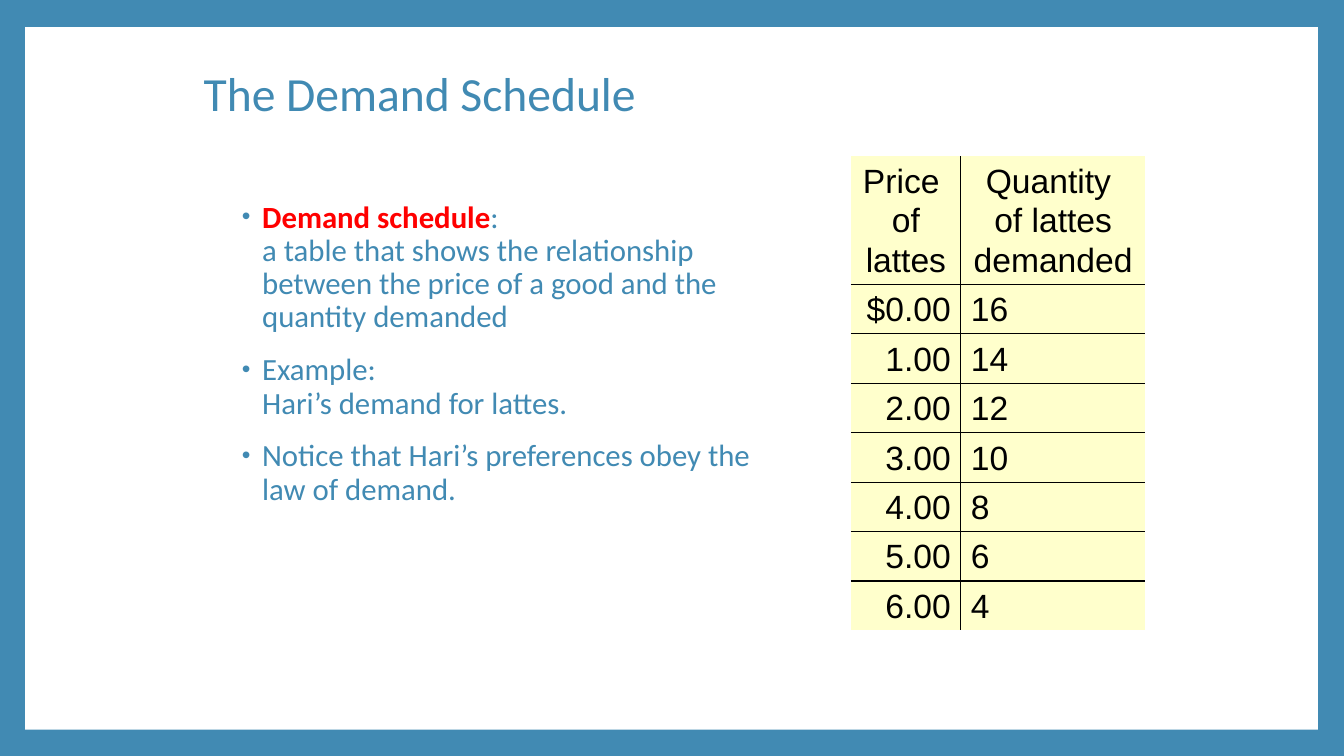
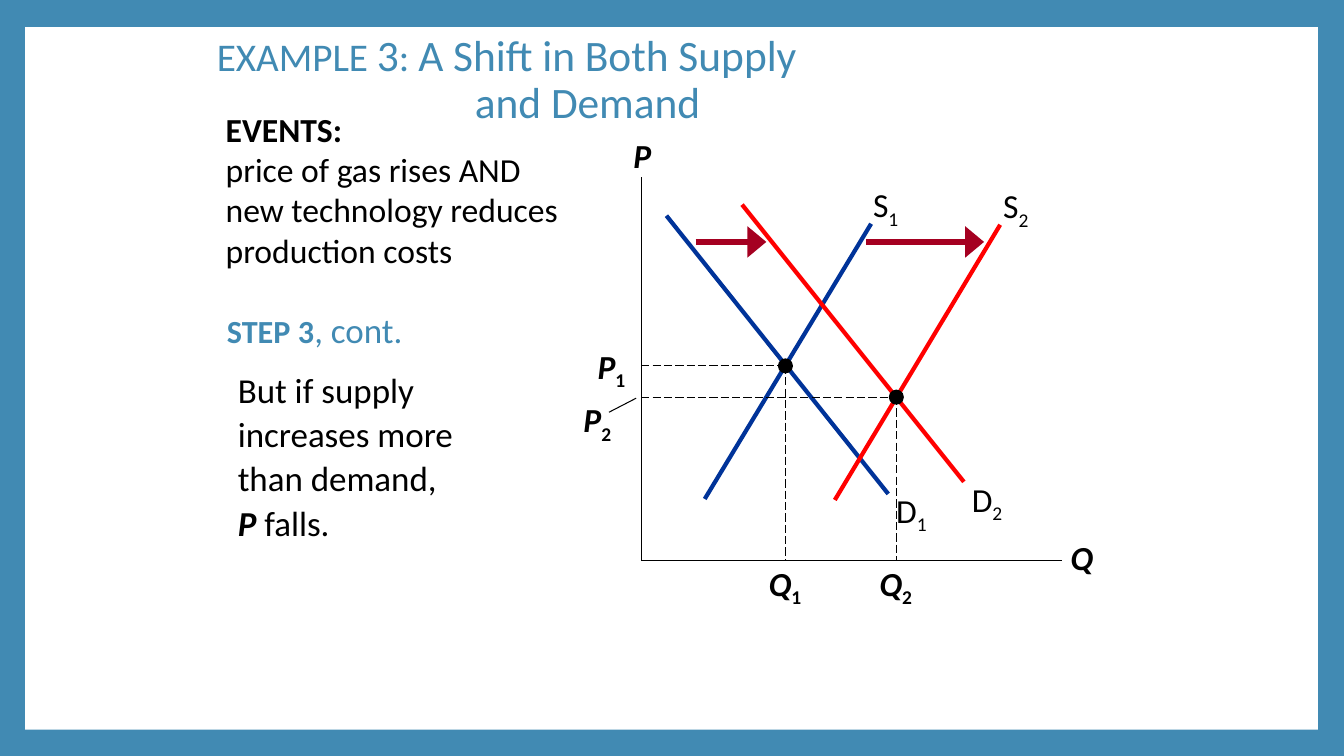
import pptx
import pptx.util
import pptx.dml.color
import pptx.enum.dml
import pptx.enum.shapes
import pptx.enum.text
import pptx.oxml
import pptx.oxml.ns

Inches = pptx.util.Inches
Pt = pptx.util.Pt
ALIGN = pptx.enum.text.PP_ALIGN

BLUE, BLACK, RED, NAVY = "418AB3", "000000", "FF0000", "003399"
WHITE, CREAM, WINE = "FFFFFF", "FFFFCC", "A50021"
BOLD = {"bold": True}
SUB = {"italic": False, "base": -25000}

TITLE = [("The Demand Schedule", {})]
POINTS = [
    [("Demand schedule", {"bold": True, "color": RED}),
     (":\na table that shows the relationship between the price of a good "
      "and the quantity demanded", {})],
    [("Example:\nHari’s demand for lattes.", {})],
    [("Notice that Hari’s preferences obey the law of demand.", {})],
]
ROWS = [
    ("Price \nof lattes", "Quantity \nof lattes demanded"),
    ("$0.00", "16"), ("1.00", "14"), ("2.00", "12"), ("3.00", "10"),
    ("4.00", "8"), ("5.00", "6"), ("6.00", "4"),
]
COLS = [1.09, 1.83]
HEAD, ROW = 1.27, 0.49

SHIFT = [
    ("EXAMPLE ", {"size": 28}), ("3", {}), (": ", {"size": 28}),
    ("A Shift in Both Supply \nand Demand", {}),
]
STEP = [("STEP 3", {"size": 23, "bold": True}), (", cont.", {})]
EVENTS = [
    ("EVENTS:\n", BOLD),
    ("price of gas rises AND \nnew technology reduces production costs", {}),
]
RESULT = [
    ("But if supply increases more than demand, \n", {}),
    ("P", {"bold": True, "italic": True}), (" falls.", {}),
]

LEFT, BASE = 6.36, 5.56
AXES = [
    ("P", (LEFT, 1.76), (LEFT, BASE), (6.14, 1.29, 0.46, 0.5)),
    ("Q", (LEFT, BASE), (10.53, BASE), (10.48, 5.28, 0.5, 0.5)),
]
CURVES = [
    ("D", "1", NAVY, (6.61, 2.14), (8.81, 4.9), (8.74, 4.81, 0.6, 0.5)),
    ("S", "1", NAVY, (6.99, 4.95), (8.64, 2.22), (8.47, 1.78, 0.63, 0.5)),
    ("S", "2", RED, (8.28, 4.96), (9.92, 2.23), (9.76, 1.79, 0.63, 0.5)),
    ("D", "2", RED, (7.36, 2.03), (9.56, 4.78), (9.49, 4.7, 0.6, 0.5)),
]
ARROWS = [((8.59, 2.4), (9.76, 2.4)), ((6.9, 2.4), (7.6, 2.4))]
MEETS = [("1", 7.79, 3.63, (5.8, 3.43)), ("2", 8.89, 3.94, (5.66, 3.96))]
DOT = 0.15


def rgb(code):
    return pptx.dml.color.RGBColor.from_string(code)


def add_xml(parent, tag, **attrs):
    node = pptx.oxml.parse_xml(f"<a:{tag} {pptx.oxml.ns.nsdecls('a')}/>")
    for key, value in attrs.items():
        node.set(key, str(value))
    parent.append(node)
    return node


def style(font, size=None, color=None, bold=None, italic=None, name=None):
    if size:
        font.size = Pt(size)
    if color:
        font.color.rgb = rgb(color)
    if bold is not None:
        font.bold = bold
    if italic is not None:
        font.italic = italic
    if name:
        font.name = name


def write(par, parts, size, color=BLACK, align=ALIGN.LEFT, lines=1.0,
          before=0, left=0, first=0, bullet=False, name="Calibri", **look):
    props = par._p.get_or_add_pPr()
    props.set("marL", str(Inches(left)))
    props.set("indent", str(Inches(first)))
    if bullet:
        add_xml(add_xml(props, "buClr"), "srgbClr", val=color)
        add_xml(props, "buSzPct", val=80000)
        add_xml(props, "buFont", typeface="Arial")
        add_xml(props, "buChar", char="•")
    else:
        add_xml(props, "buNone")
    par.alignment = align
    par.line_spacing = lines
    par.space_before = Pt(before)
    style(par.font, size, color, name=name, **look)
    for text, extra in parts:
        extra = dict(extra)
        base = extra.pop("base", None)
        for i, piece in enumerate(text.split("\n")):
            if i:
                par.add_line_break()
            if piece:
                run = par.add_run()
                run.text = piece
                style(run.font, **extra)
                if base:
                    run._r.get_or_add_rPr().set("baseline", str(base))


def place(shape, box):
    shape.left, shape.top, shape.width, shape.height = map(Inches, box)
    frame = shape.text_frame
    frame.word_wrap = True
    frame.auto_size = pptx.enum.text.MSO_AUTO_SIZE.NONE
    return frame


def add_slide(deck, box, parts, size, **look):
    slide = deck.slides.add_slide(deck.slide_layouts[1])
    frame = place(slide.shapes.title, box)
    frame.vertical_anchor = pptx.enum.text.MSO_ANCHOR.MIDDLE
    write(frame.paragraphs[0], parts, size, BLUE, lines=0.9, **look)
    return slide


def fill_body(slide, box, items, size, **look):
    frame = place(slide.placeholders[1], box)
    for i, parts in enumerate(items):
        par = frame.add_paragraph() if i else frame.paragraphs[0]
        write(par, parts, size, BLUE, lines=0.9, before=14, **look)


def add_text(slide, box, parts, size=24, inset=None, **look):
    frame = place(slide.shapes.add_textbox(0, 0, 0, 0), box)
    if inset is not None:
        frame.margin_left = frame.margin_right = Inches(inset)
        frame.margin_top = frame.margin_bottom = Inches(inset)
    write(frame.paragraphs[0], parts, size, **look)


def add_label(slide, box, letter, sub="", **look):
    parts = [(letter, {})] + ([(sub, SUB)] if sub else [])
    add_text(slide, box, parts, align=ALIGN.CENTER, **look)


def add_line(slide, start, end, color=BLACK, width=1, dash=False, arrow=False):
    line = slide.shapes.add_connector(
        pptx.enum.shapes.MSO_CONNECTOR.STRAIGHT,
        *map(Inches, start + end))
    line.line.color.rgb = rgb(color)
    line.line.width = Pt(width)
    if dash:
        line.line.dash_style = pptx.enum.dml.MSO_LINE.LONG_DASH
    props = line.element.spPr
    if arrow:
        stroke = props.find(pptx.oxml.ns.qn("a:ln"))
        add_xml(stroke, "tailEnd", type="triangle", w="lg", len="med")
    add_xml(props, "effectLst")


def add_solid(slide, kind, box, color):
    shape = slide.shapes.add_shape(kind, *map(Inches, box))
    shape.shadow.inherit = False
    shape.fill.solid()
    shape.fill.fore_color.rgb = rgb(color)
    shape.line.fill.background()
    return shape


def dress_master(deck, slide):
    master = deck.slide_master
    master.background.fill.solid()
    master.background.fill.fore_color.rgb = rgb(BLUE)
    panel = add_solid(slide, pptx.enum.shapes.MSO_SHAPE.RECTANGLE,
                      (0.25, 0.27, 12.82, 6.97), WHITE)
    panel.element.nvSpPr.cNvPr.set("id", "20")
    master.shapes.element.insert(2, panel.element)


def set_edges(cell, inner):
    props = cell._tc.get_or_add_tcPr()
    for i, side in enumerate(("lnL", "lnR", "lnT", "lnB")):
        edge = pptx.oxml.parse_xml(
            f"<a:{side} {pptx.oxml.ns.nsdecls('a')}/>")
        if inner[i]:
            edge.set("w", str(Pt(1)))
            add_xml(add_xml(edge, "solidFill"), "srgbClr", val=BLACK)
        else:
            add_xml(edge, "noFill")
        props.insert(i, edge)


def add_prices(slide):
    last = len(ROWS) - 1
    box = (8.44, 1.55, sum(COLS), HEAD + ROW * last)
    table = slide.shapes.add_table(
        len(ROWS), len(COLS), *map(Inches, box)).table
    table.first_row = table.horz_banding = False
    for col, width in zip(table.columns, COLS):
        col.width = Inches(width)
    for r, row in enumerate(ROWS):
        table.rows[r].height = Inches(ROW if r else HEAD)
        for c, text in enumerate(row):
            cell = table.cell(r, c)
            cell.fill.solid()
            cell.fill.fore_color.rgb = rgb(CREAM)
            cell.vertical_anchor = pptx.enum.text.MSO_ANCHOR.MIDDLE
            align = (ALIGN.RIGHT, ALIGN.LEFT)[c] if r else ALIGN.CENTER
            write(cell.text_frame.paragraphs[0], [(text, {})], 24,
                  align=align, lines=1.05, name="Arial")
            set_edges(cell, (c > 0, c < len(COLS) - 1, r > 0, r < last))


def add_graph(slide):
    bold = {"bold": True, "italic": True}
    for letter, start, end, box in AXES:
        add_line(slide, start, end)
        add_label(slide, box, letter, **bold)
    for letter, sub, color, start, end, box in CURVES:
        add_line(slide, start, end, color, 3)
        add_label(slide, box, letter, sub)
    for start, end in ARROWS:
        add_line(slide, start, end, WINE, 4.5, arrow=True)
    for sub, x, y, spot in MEETS:
        add_line(slide, (LEFT, y), (x, y), width=0.75, dash=True)
        add_line(slide, (x, y), (x, BASE), width=0.75, dash=True)
        add_solid(slide, pptx.enum.shapes.MSO_SHAPE.OVAL,
                  (x - DOT / 2, y - DOT / 2, DOT, DOT), BLACK)
        add_label(slide, spot + (0.53, 0.4), "P", sub, inset=0, **bold)
        add_label(slide, (x - 0.27, 5.58, 0.53, 0.4), "Q", sub,
                  inset=0, **bold)
    add_line(slide, (6.31, 3.95), (6.04, 4.09), width=0.75)


def main():
    deck = pptx.Presentation()
    deck.slide_width, deck.slide_height = Inches(13.33), Inches(7.5)

    table = add_slide(deck, (1.92, 0.46, 9.5, 0.99), TITLE, 34)
    dress_master(deck, table)
    fill_body(table, (2.25, 1.95, 5.58, 4.97), POINTS, 22,
              left=0.25, first=-0.2, bullet=True)
    add_prices(table)

    graph = add_slide(deck, (2.05, 0.18, 9.13, 1.25), SHIFT, 31,
                      left=2.56, first=-2.56)
    fill_body(graph, (2.15, 3.06, 2.81, 0.55), [STEP], 25)
    add_graph(graph)
    add_text(graph, (2.14, 1.03, 4.06, 1.8), EVENTS)
    add_text(graph, (2.26, 3.59, 2.78, 2), RESULT, 25, lines=1.05)

    deck.save("out.pptx")


if __name__ == "__main__":
    main()
